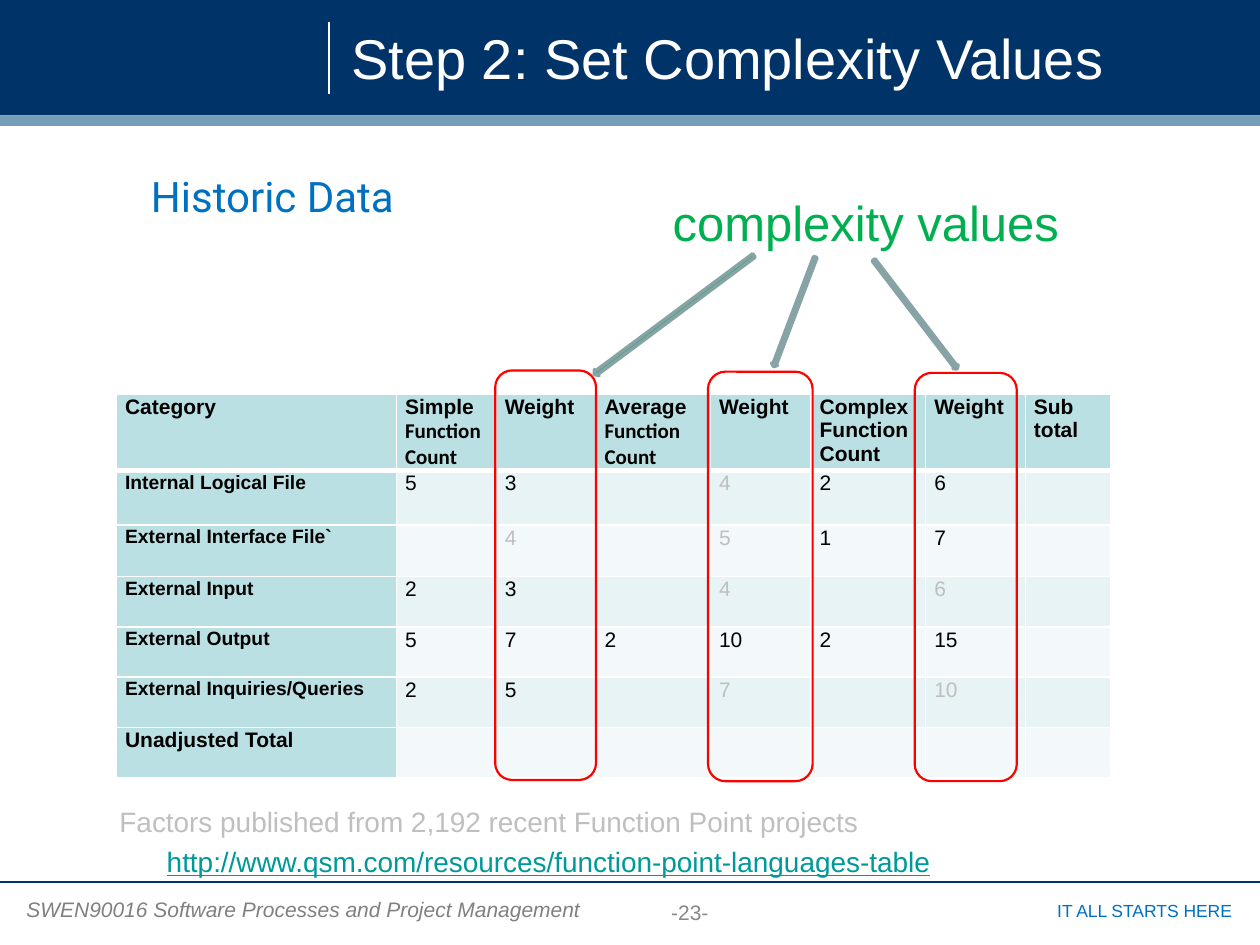
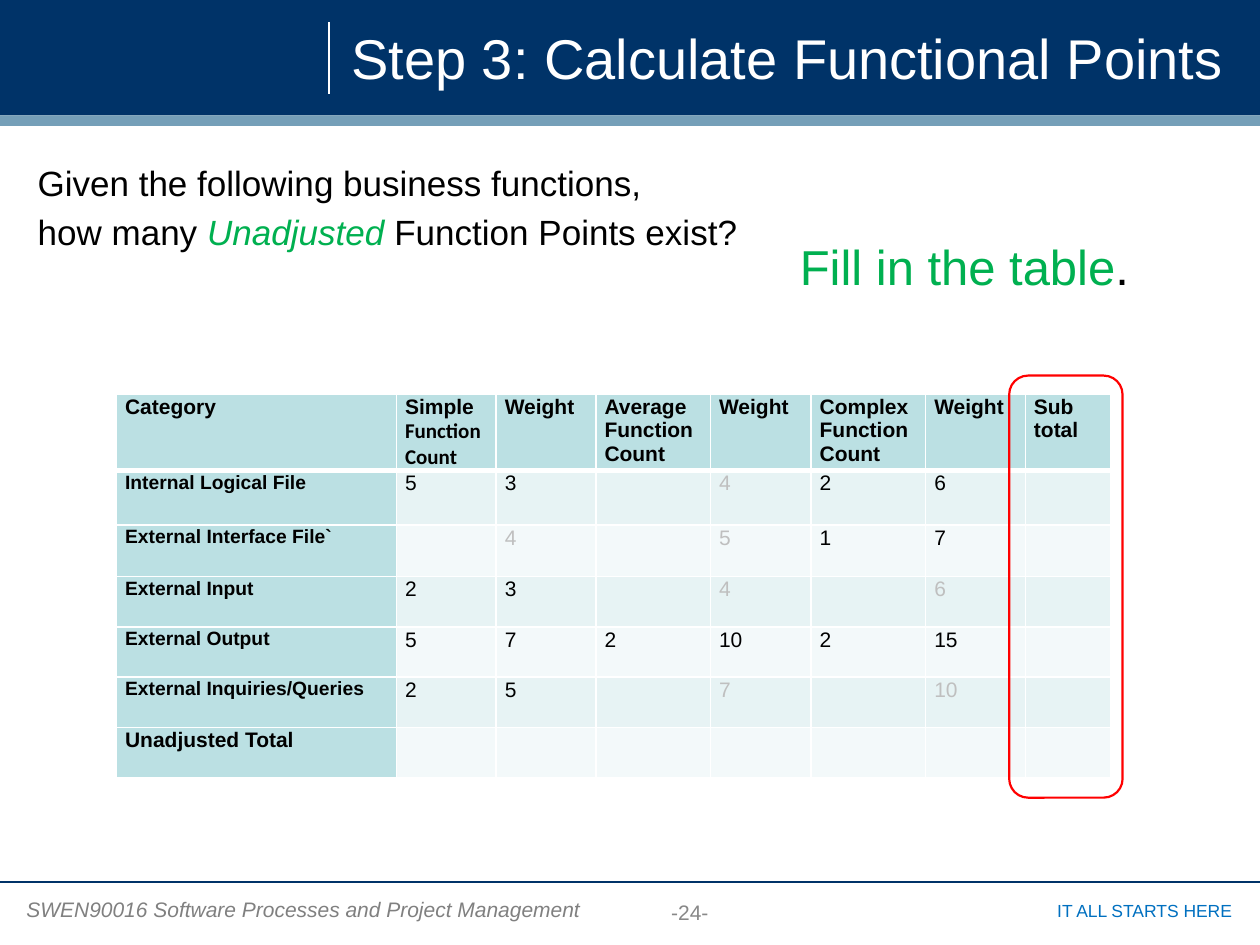
from lxml.etree import SubElement as Sub
from pptx import Presentation
from pptx.dml.color import RGBColor as Rgb
from pptx.enum.shapes import MSO_CONNECTOR as Conn, MSO_SHAPE as Kind
from pptx.enum.text import MSO_ANCHOR as Anchor, PP_ALIGN as Align
from pptx.oxml import parse_xml
from pptx.oxml.ns import nsdecls, qn
from pptx.util import Pt

INK = {
    "navy": "003368", "steel": "759FB8", "white": "FFFFFF", "black": "000000",
    "grey": "808080", "page": "888888", "pale": "BFBFBF", "blue": "0070C0",
    "green": "00B050", "link": "009999", "red": "FF0000", "arrow": "88A3A5",
    "head": "BBE0E3", "odd": "E7F3F4", "even": "F3F9FA",
}
COLS = [160, 57, 57, 65.5, 57.5, 65.5, 57, 49]
ROWS = [42.7, 31, 29.5, 28.8, 28.8, 28.8, 28.8]
BODY = [
    ["Internal Logical File", "5", "3", "", "4", "2", "6", ""],
    ["External Interface File`", "", "4", "", "5", "1", "7", ""],
    ["External Input", "2", "3", "", "4", "", "6", ""],
    ["External Output", "5", "7", "2", "10", "2", "15", ""],
    ["External Inquiries/Queries", "2", "5", "", "7", "", "10", ""],
    ["Unadjusted Total", "", "", "", "", "", "", ""],
]


def hue(name):
    return Rgb.from_string(INK[name])


class Deck:
    face = "Arial"

    def __init__(self):
        self.prs = Presentation()
        self.prs.slide_width, self.prs.slide_height = Pt(720), Pt(540)

    def style(self, font, size, ink, face=None, bold=False, slant=False):
        font.name, font.size = face or self.face, Pt(size)
        font.color.rgb = hue(ink)
        font.bold, font.italic = bold, slant

    def shape(self, kind, box, fill=None, line=None, width=1.25, turn=0):
        item = self.slide.shapes.add_shape(kind, *map(Pt, box))
        item.shadow.inherit = False
        item.rotation = turn
        if fill:
            item.fill.solid()
            item.fill.fore_color.rgb = hue(fill)
        else:
            item.fill.background()
        if line:
            item.line.color.rgb = hue(line)
            item.line.width = Pt(width)
        else:
            item.line.fill.background()
        return item

    def ring(self, *box):
        self.shape(Kind.ROUNDED_RECTANGLE, box, line="red")

    def arrow(self, box, turn):
        item = self.shape(Kind.UP_ARROW, box, "green", "arrow", 2, turn)
        item.adjustments[0], item.adjustments[1] = 0.55, 0.44

    def line(self, ends, ink):
        item = self.slide.shapes.add_connector(Conn.STRAIGHT, *map(Pt, ends))
        item.line.color.rgb = hue(ink)
        item.line.width = Pt(0.75)
        Sub(item._element.spPr, qn("a:effectLst"))

    def text(self, box, words, size, ink, align=Align.LEFT, mid=False, pad=3.6, **look):
        frame = self.slide.shapes.add_textbox(*map(Pt, box)).text_frame
        frame.word_wrap = True
        frame.margin_top = frame.margin_bottom = Pt(pad)
        frame.vertical_anchor = Anchor.MIDDLE if mid else Anchor.TOP
        para = frame.paragraphs[0]
        para.text, para.alignment = words, align
        self.style(para.font, size, ink, **look)
        return frame

    def mix(self, para, size, parts):
        for words, ink, slant in parts:
            run = para.add_run()
            run.text = words
            self.style(run.font, size, ink, slant=slant)

    def page(self, title, num):
        self.slide = self.prs.slides.add_slide(self.prs.slide_layouts[6])
        self.shape(Kind.RECTANGLE, (0, 0, 720, 66), "navy")
        self.line((188, 12.5, 188, 53.5), "white")
        self.line((0, 504, 720, 504), "navy")
        self.shape(Kind.RECTANGLE, (0, 66, 720, 6), "steel")
        self.text((8, 509, 333, 22), "SWEN90016 Software Processes and Project Management",
                  12, "grey", slant=True)
        self.text((563, 510.5, 148, 19.5), "IT ALL STARTS HERE", 10, "blue", Align.RIGHT)
        self.text((193.7, 5.8, 520, 54), title, 32, "white", mid=True)
        self.text((286, 509, 216.5, 24.5), f"-{num}-", 12, "page", Align.CENTER, True)

    def cell(self, cell, words, fill, size, ink, bold, top, base):
        cell.margin_left = cell.margin_right = Pt(5)
        cell.margin_top, cell.margin_bottom = Pt(0.7), 0
        cell.fill.solid()
        cell.fill.fore_color.rgb = hue(fill)
        cell.text = words
        for num, para in enumerate(cell.text_frame.paragraphs):
            self.style(para.font, size, ink, "Calibri" if num else None, bold)
        props = cell._tc.get_or_add_tcPr()
        for num, (side, wide) in enumerate(zip("LRTB", (1, 1, top, base))):
            props.insert(num, parse_xml(
                f'<a:ln{side} {nsdecls("a")} w="{Pt(wide)}"><a:solidFill>'
                f'<a:srgbClr val="{INK["white"]}"/></a:solidFill></a:ln{side}>'))

    def table(self, simple, average):
        head = ["Category", simple, "Weight", average, "Weight",
                "Complex Function Count", "Weight", "Sub total"]
        grid = self.slide.shapes.add_table(
            len(ROWS), len(COLS), Pt(66.5), Pt(225), Pt(sum(COLS)), Pt(sum(ROWS))).table
        grid.first_row = grid.horz_banding = False
        for col, wide in zip(grid.columns, COLS):
            col.width = Pt(wide)
        for row, high in zip(grid.rows, ROWS):
            row.height = Pt(high)
        for r, row in enumerate([head] + BODY):
            for c, words in enumerate(row):
                label = r == 0 or c == 0
                unused = not label and c % 2 == 0 and not row[c - 1]
                fill = "head" if label else "odd" if r % 2 else "even"
                size = 11 if c == 0 and 0 < r < len(BODY) else 12
                self.cell(grid.cell(r, c), words, fill, size, "pale" if unused else "black",
                          label, 3 if r == 1 else 1, 3 if r == 0 else 1)


def values(deck):
    deck.page("Step 2: Set Complexity Values", 23)
    deck.table("Simple\nFunction\nCount", "Average\nFunction Count")
    note = deck.text((61.2, 456.5, 520, 56),
                     "Factors published from 2,192 recent Function Point projects", 16, "pale")
    link = note.add_paragraph()
    link._p.get_or_add_pPr().set("marL", str(Pt(27)))
    link.text = "http://www.qsm.com/resources/function-point-languages-table"
    link.space_before = Pt(3.2)
    deck.style(link.font, 16, "link")
    link.font.underline = True
    deck.ring(283, 211.7, 57.6, 234)
    deck.ring(404.6, 212.4, 59.8, 234)
    deck.ring(522.7, 213.1, 58.3, 233.3)
    deck.text((377.3, 106.6, 252.7, 44.6), "complexity values", 28, "green")
    deck.arrow((521.3, 140.4, 3.6, 78.5), 142.5)
    deck.arrow((383, 123.1, 4.3, 113.8), 233.3)
    deck.arrow((452.2, 144.7, 3.6, 67), 200.8)
    topic = deck.text((79.2, 85.7, 161.3, 46), "Historic Data", 24, "blue", pad=7.2,
                      face="Roboto")
    topic.paragraphs[0].line_spacing = 1.15


def points(deck):
    deck.page("Step 3: Calculate Functional Points", 24)
    deck.table("Simple\nFunction Count", "Average Function Count")
    deck.ring(576.7, 214.6, 64.8, 241.2)
    ask = deck.text((14.4, 88.6, 423.4, 65.5), "Given the following business functions,",
                    20, "black")
    para = ask.add_paragraph()
    para.space_before = Pt(4)
    deck.mix(para, 20, [("how many ", "black", False), ("Unadjusted", "green", True),
                        (" Function Points exist?", "black", False)])
    task = deck.text((450, 131.8, 218.2, 55.4), "", 28, "green")
    deck.mix(task.paragraphs[0], 28, [("Fill in the table", "green", False),
                                      (".", "black", False)])


def main():
    deck = Deck()
    values(deck)
    points(deck)
    deck.prs.save("out.pptx")


if __name__ == "__main__":
    main()
